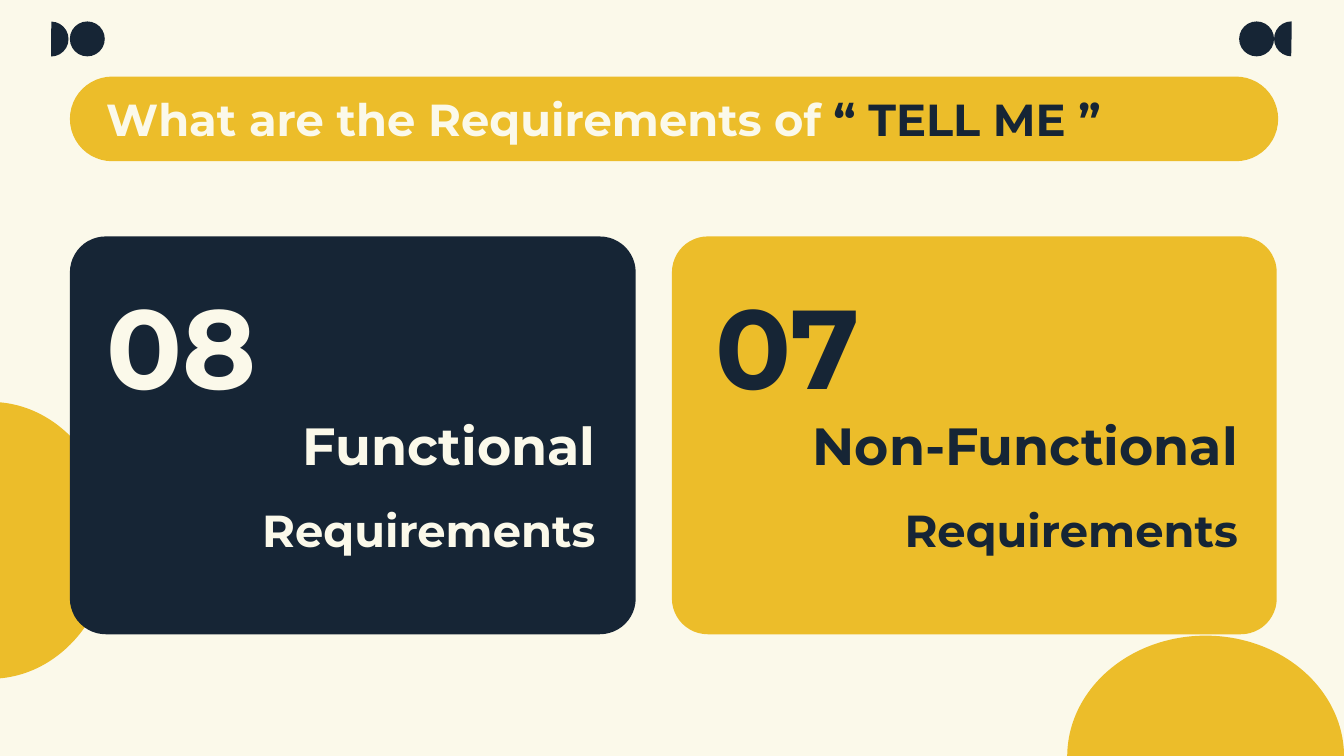
from dataclasses import dataclass

from pptx import Presentation
from pptx.dml.color import RGBColor
from pptx.enum.shapes import MSO_SHAPE
from pptx.enum.text import MSO_ANCHOR, MSO_AUTO_SIZE, PP_ALIGN
from pptx.util import Inches, Pt

PIE, OVAL, ROUNDED = MSO_SHAPE.PIE, MSO_SHAPE.OVAL, MSO_SHAPE.ROUNDED_RECTANGLE
TOP, MIDDLE = MSO_ANCHOR.TOP, MSO_ANCHOR.MIDDLE
LEFT, RIGHT = PP_ALIGN.LEFT, PP_ALIGN.RIGHT


@dataclass(frozen=True)
class Theme:
    cream: str = "FBF9EA"
    navy: str = "162535"
    gold: str = "ECBD2A"
    font: str = "Montserrat"
    title: int = 24
    number: int = 60
    label: int = 28
    sublabel: int = 24


THEME = Theme()
WIDTH = 10
HEIGHT = WIDTH * 9 / 16
MARGIN = 0.52
TEXT_LEFT = 0.79
BAR_TOP, BAR_HEIGHT = 0.57, 0.63
CARD_TOP, CARD_HEIGHT = 1.76, 2.96
DOT_TOP, DOT = 0.16, 0.26
HALF_PIE = (54.58, 162)
LARGE_PIE = (53.46, 162)

TITLE = [("What are the Requirements of ", THEME.title, THEME.cream),
         ("“ TELL\u00a0ME ”".replace("\u00a0", chr(160)), THEME.title, THEME.navy)]
CARDS = [
    {"number": "07", "label": "Non-Functional ", "sublabel": "Requirements",
     "fill": THEME.gold, "color": THEME.navy, "left": 5, "width": 4.5,
     "number_left": 5.32, "label_left": 5.57},
    {"number": "08", "label": "Functional ", "sublabel": "Requirements",
     "fill": THEME.navy, "color": THEME.cream, "left": MARGIN, "width": 4.21,
     "number_left": TEXT_LEFT, "label_left": TEXT_LEFT},
]
LARGE_PIES = [(8.07, 4.6, 90), (-0.97, 2.99, 180)]


def add_filled(slide, kind, box, color, adjustments=(), rotation=0):
    shape = slide.shapes.add_shape(kind, *map(Inches, box))
    shape.shadow.inherit = False
    shape.fill.solid()
    shape.fill.fore_color.rgb = RGBColor.from_string(color)
    shape.line.fill.background()
    shape.rotation = rotation
    for index, value in enumerate(adjustments):
        shape.adjustments[index] = value
    return shape


def write_text(shape, runs, box, align=LEFT, anchor=MIDDLE, spacing=1.0):
    shape.left, shape.top, shape.width, shape.height = map(Inches, box)
    frame = shape.text_frame
    frame.word_wrap = True
    frame.auto_size = MSO_AUTO_SIZE.NONE
    frame.vertical_anchor = anchor
    frame.margin_left = frame.margin_right = 0
    frame.margin_top = frame.margin_bottom = 0
    paragraph = frame.paragraphs[0]
    paragraph.alignment = align
    paragraph.line_spacing = spacing
    for text, size, color in runs:
        run = paragraph.add_run()
        run.text = text
        run.font.name = THEME.font
        run.font.size = Pt(size)
        run.font.bold = True
        run.font.color.rgb = RGBColor.from_string(color)


def add_text(slide, runs, box, **formatting):
    shape = slide.shapes.add_textbox(*map(Inches, box))
    write_text(shape, runs, box, **formatting)


def add_decorations(slide):
    for half_left, dot_left, rotation in (
            (MARGIN - DOT - 0.01, MARGIN, 180),
            (WIDTH - MARGIN, WIDTH - MARGIN - DOT, 0)):
        add_filled(slide, PIE, (half_left, DOT_TOP, DOT, DOT), THEME.navy, HALF_PIE, rotation)
        add_filled(slide, OVAL, (dot_left, DOT_TOP, DOT, DOT), THEME.navy)
    for left, top, rotation in LARGE_PIES:
        add_filled(slide, PIE, (left, top, 1.8, 2.06), THEME.gold, LARGE_PIE, rotation)


def add_card(slide, card):
    add_filled(slide, ROUNDED, (card["left"], CARD_TOP, card["width"], CARD_HEIGHT),
               card["fill"], (0.09,))
    add_text(slide, [(card["number"], THEME.number, card["color"])],
             (card["number_left"], 2, 2.08, 1.13))
    add_text(slide, [(card["label"], THEME.label, card["color"]),
                     (card["sublabel"], THEME.sublabel, card["color"])],
             (card["label_left"], 2.84, 3.64, 1.37),
             align=RIGHT, anchor=TOP, spacing=1.5)


def main():
    presentation = Presentation()
    presentation.slide_width, presentation.slide_height = Inches(WIDTH), Inches(HEIGHT)
    slide = presentation.slides.add_slide(presentation.slide_layouts[5])
    slide.background.fill.solid()
    slide.background.fill.fore_color.rgb = RGBColor.from_string(THEME.cream)

    add_decorations(slide)
    bar = add_filled(slide, ROUNDED, (MARGIN, BAR_TOP, 8.99, BAR_HEIGHT), THEME.gold, (0.5,))
    title = slide.shapes.title
    write_text(title, TITLE, (TEXT_LEFT, BAR_TOP, 8.43, BAR_HEIGHT))
    bar.element.addnext(title.element)
    for card in CARDS:
        add_card(slide, card)
    presentation.save("out.pptx")


if __name__ == "__main__":
    main()
